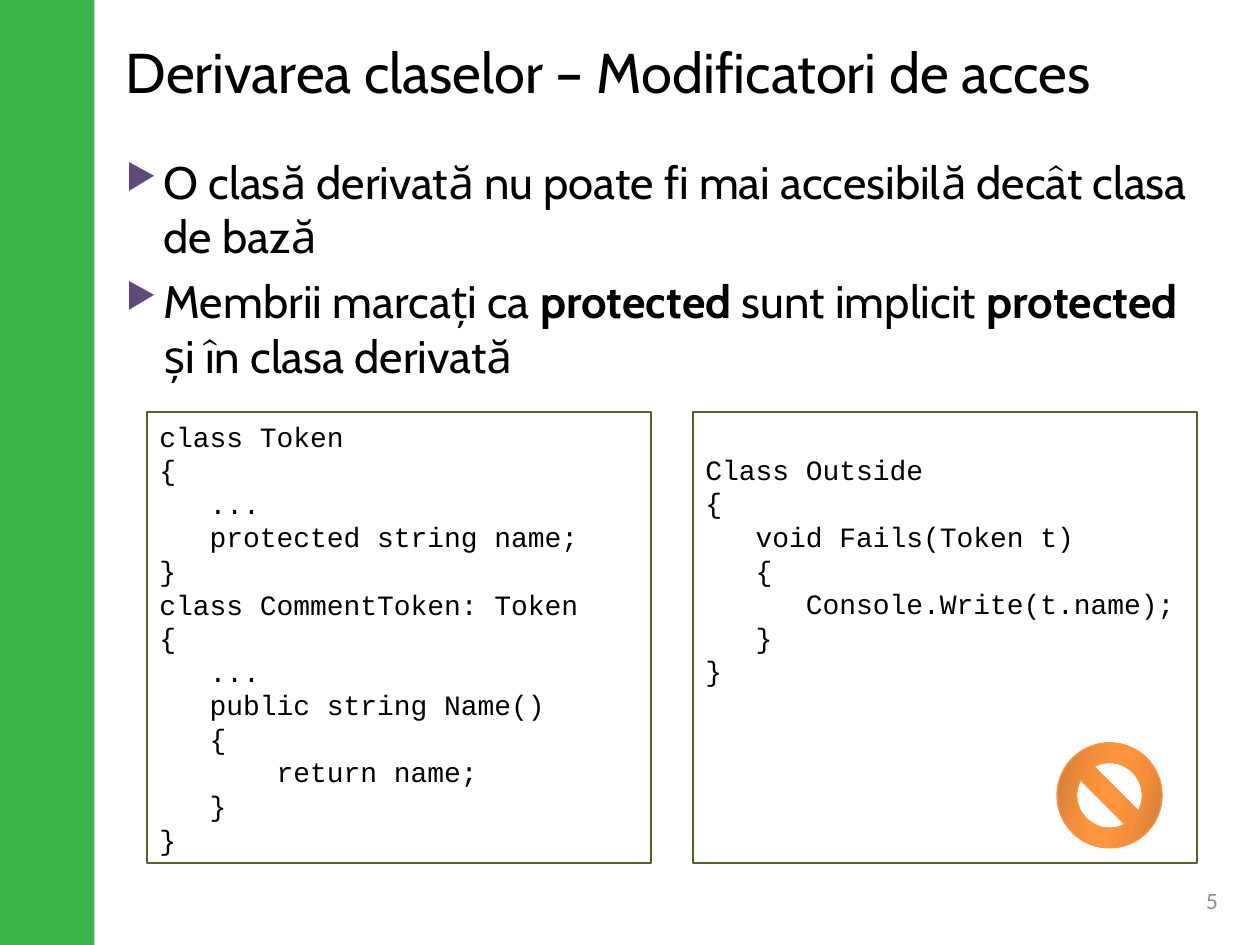
"""Build a slide on access modifiers in class derivation."""
from lxml import etree
from pptx import Presentation
from pptx.dml.color import RGBColor
from pptx.enum.shapes import MSO_SHAPE
from pptx.enum.text import MSO_ANCHOR, PP_ALIGN
from pptx.oxml.ns import qn
from pptx.util import Pt

RECT, NO_SIGN = MSO_SHAPE.RECTANGLE, MSO_SHAPE.NO_SYMBOL
TOP, MIDDLE = MSO_ANCHOR.TOP, MSO_ANCHOR.MIDDLE
LEFT, CENTER = PP_ALIGN.LEFT, PP_ALIGN.CENTER

BLACK = RGBColor(0x00, 0x00, 0x00)
WHITE = RGBColor(0xFF, 0xFF, 0xFF)
GREEN = RGBColor(0x3B, 0xB4, 0x4A)
OLIVE = RGBColor(0x4F, 0x62, 0x28)
GREY = RGBColor(0x8C, 0x8C, 0x8C)
PURPLE = RGBColor(0x60, 0x4A, 0x7B)
ORANGE = RGBColor(0xF7, 0x96, 0x46)
ORANGE_DARK = RGBColor(0xCA, 0x7B, 0x39)
ORANGE_MID = RGBColor(0xF4, 0x8E, 0x3A)
ORANGE_LIGHT = RGBColor(0xFF, 0x95, 0x3E)

TITLE_FONT = {"name": "Cabin", "size": Pt(32), "color": BLACK}
BODY_FONT = {"name": "Cabin", "size": Pt(26), "color": BLACK}
CODE_FONT = {"name": "Courier New", "size": Pt(16), "color": BLACK}
NUMBER_FONT = {"name": "Lato", "size": Pt(12), "color": GREY}

SIGN_STOPS = [(0, ORANGE_DARK), (30, ORANGE_MID), (45, ORANGE_LIGHT),
              (55, ORANGE_LIGHT), (73, ORANGE_MID), (100, ORANGE_DARK)]

BULLETS = [
    [("O clasă derivată nu poate fi mai accesibilă decât clasa de bază", False)],
    [("Membrii marcați ca ", False), ("protected", True),
     (" sunt implicit ", False), ("protected ", True),
     ("și în clasa derivată", False)],
]

TOKEN_CODE = """class Token
{
   ...
   protected string name;
}
class CommentToken: Token
{
   ...
   public string Name()
   {
       return name;
   }
}"""

OUTSIDE_CODE = """Class Outside
{
   void Fails(Token t)
   {
      Console.Write(t.name);
   }
}"""


def add_run(p, text, style, bold=False):
    r = p.add_run()
    r.text = text
    r.font.bold = bold
    for key, value in style.items():
        if key == "color":
            r.font.color.rgb = value
        else:
            setattr(r.font, key, value)


def write(tf, paragraphs, style, align=LEFT, **frame):
    for key, value in {"word_wrap": True, "vertical_anchor": TOP, **frame}.items():
        setattr(tf, key, value)
    for i, runs in enumerate(paragraphs):
        p = tf.add_paragraph() if i else tf.paragraphs[0]
        p.alignment = align
        for text, bold in runs:
            add_run(p, text, style, bold)


def add_text(s, box, paragraphs, style, **options):
    tf = s.shapes.add_textbox(*map(Pt, box)).text_frame
    write(tf, paragraphs, style, **options)
    return tf


def add_bullet(p):
    pPr = p._p.get_or_add_pPr()
    pPr.set("marL", str(Pt(21.6)))
    pPr.set("indent", str(-Pt(21.6)))
    color = etree.SubElement(pPr, qn("a:buClr"))
    etree.SubElement(color, qn("a:srgbClr"), val=str(PURPLE))
    etree.SubElement(pPr, qn("a:buSzPct"), val="76000")
    etree.SubElement(pPr, qn("a:buChar"), char="▶")


def add_bullets(s, box, paragraphs):
    tf = add_text(s, box, paragraphs, BODY_FONT)
    for i, p in enumerate(tf.paragraphs):
        add_bullet(p)
        if i:
            p.space_before = Pt(6)


def add_filled(s, kind, box, fill, line=None, width=0):
    sp = s.shapes.add_shape(kind, *map(Pt, box))
    sp.shadow.inherit = False
    sp.fill.solid()
    sp.fill.fore_color.rgb = fill
    if line is None:
        sp.line.fill.background()
    else:
        sp.line.color.rgb = line
        sp.line.width = Pt(width)
    return sp


def add_code(s, left, code, inset):
    sp = add_filled(s, RECT, (left, 235.5, 288, 257.75), WHITE, OLIVE, 1.5)
    lines = [[(line, False)] for line in code.split("\n")]
    write(sp.text_frame, lines, CODE_FONT, margin_top=Pt(inset), margin_bottom=0)


def add_no_sign(s, box):
    sp = add_filled(s, NO_SIGN, box, ORANGE, ORANGE, 0.75)
    sp.fill.gradient()
    sp.fill.gradient_angle = 360 - 16
    stops = sp._element.spPr.find(qn("a:gradFill")).find(qn("a:gsLst"))
    for stop in list(stops):
        stops.remove(stop)
    for percent, color in SIGN_STOPS:
        stop = etree.SubElement(stops, qn("a:gs"), pos=str(percent * 1000))
        etree.SubElement(stop, qn("a:srgbClr"), val=str(color))


def main():
    prs = Presentation()
    prs.slide_width, prs.slide_height = Pt(720), Pt(540)
    s = prs.slides.add_slide(prs.slide_layouts[6])
    add_filled(s, RECT, (0, 0, 54, 540), GREEN)
    add_text(s, (64.8, 18, 648, 54),
             [[("Derivarea claselor – Modificatori de acces", False)]], TITLE_FONT)
    add_bullets(s, (64.8, 84.25, 635.75, 426.25), BULLETS)
    add_text(s, (672.5, 500.4, 40.3, 28.8), [[("5", False)]], NUMBER_FONT,
             align=CENTER, vertical_anchor=MIDDLE)
    add_code(s, 84, TOKEN_CODE, 4)
    add_code(s, 396, OUTSIDE_CODE, 23)
    add_no_sign(s, (604, 424.5, 60, 60))
    prs.save("out.pptx")


if __name__ == "__main__":
    main()
